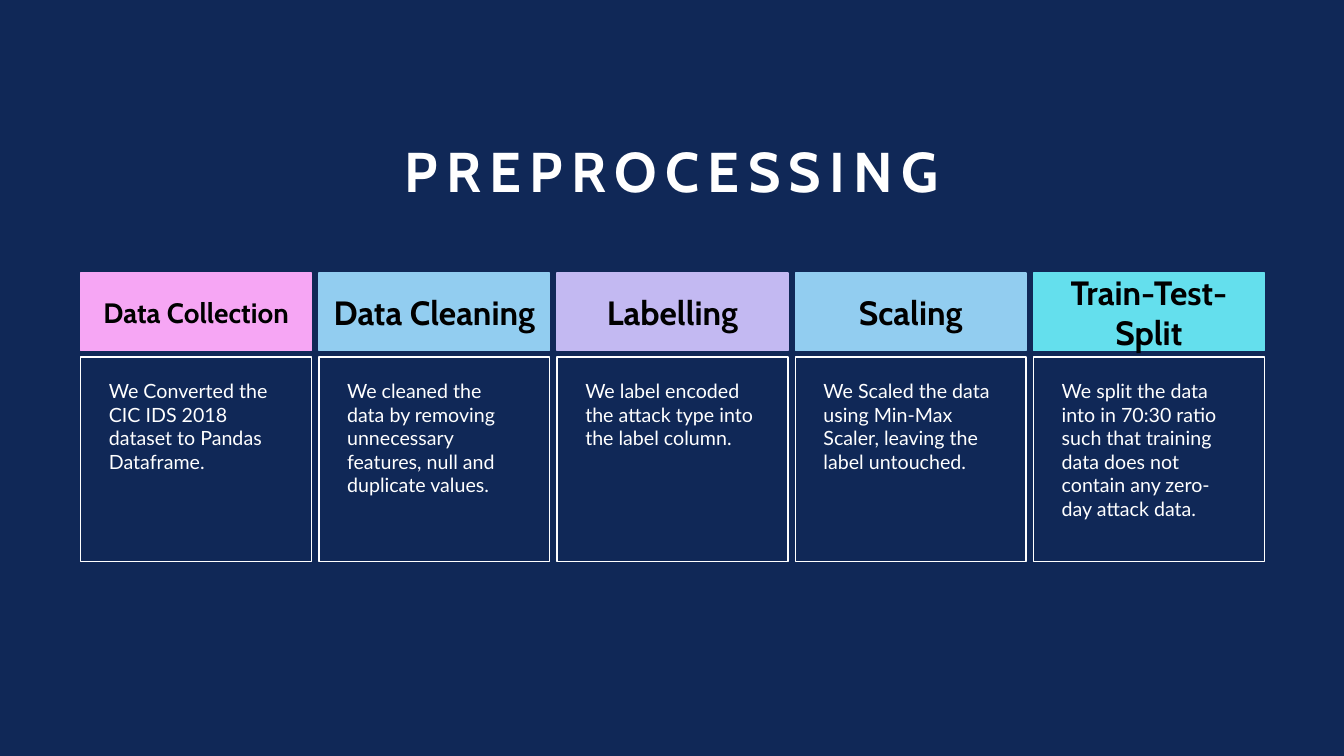
from pptx import Presentation
from pptx.dml.color import RGBColor
from pptx.enum.shapes import MSO_SHAPE
from pptx.enum.text import MSO_ANCHOR, MSO_AUTO_SIZE, PP_ALIGN
from pptx.util import Inches, Pt

RECTANGLE = MSO_SHAPE.RECTANGLE
TOP, MIDDLE, BOTTOM = MSO_ANCHOR.TOP, MSO_ANCHOR.MIDDLE, MSO_ANCHOR.BOTTOM
LEFT, CENTER = PP_ALIGN.LEFT, PP_ALIGN.CENTER

NAVY = RGBColor(0x10, 0x28, 0x57)
WHITE = RGBColor(0xFF, 0xFF, 0xFF)
BLACK = RGBColor(0x00, 0x00, 0x00)
PINK = RGBColor(0xF6, 0xA6, 0xF4)
SKY = RGBColor(0x92, 0xCD, 0xF0)
LILAC = RGBColor(0xC3, 0xB9, 0xF2)
AQUA = RGBColor(0x64, 0xDF, 0xED)

# Column grid, in inches
GRID_LEFT, COLUMN_PITCH, COLUMN_WIDTH = 0.8, 2.3625, 2.29
HEADER_TOP, HEADER_HEIGHT = 2.71, 0.77
DETAIL_TOP, DETAIL_HEIGHT = 3.54, 2.03

HEADER_FRAME = {"vertical_anchor": MIDDLE, "word_wrap": True}
DETAIL_FRAME = {"vertical_anchor": TOP, "word_wrap": True,
                "margin_left": Inches(0.28), "margin_top": Inches(0.22),
                "margin_right": Inches(0.3), "margin_bottom": Inches(0.05)}
TITLE_FRAME = {"vertical_anchor": BOTTOM, "word_wrap": True,
               "auto_size": MSO_AUTO_SIZE.NONE}

STEPS = [
    ("Data Collection", 20, PINK,
     "We Converted the CIC IDS 2018 dataset to Pandas Dataframe."),
    ("Data Cleaning", 24, SKY,
     "We cleaned the data by removing unnecessary features, null and duplicate values."),
    ("Labelling", 24, LILAC,
     "We label encoded the attack type into the label column."),
    ("Scaling", 24, SKY,
     "We Scaled the data using Min-Max Scaler, leaving the label untouched."),
    ("Train-Test-Split", 24, AQUA,
     "We split the data into in 70:30 ratio such that training data does not "
     "contain any zero-day attack data."),
]


def write(holder, wording, frame_format, align, color, font_format):
    """Put one formatted paragraph into a shape and return its run."""
    frame = holder.text_frame
    for key, value in frame_format.items():
        setattr(frame, key, value)
    paragraph = frame.paragraphs[0]
    paragraph.alignment = align
    run = paragraph.add_run()
    run.text = wording
    for key, value in font_format.items():
        setattr(run.font, key, value)
    run.font.color.rgb = color
    return run


def add_box(left, top, height, line_color):
    """Add an unfilled, outlined rectangle one column wide."""
    box = slide.shapes.add_shape(RECTANGLE, Inches(left), Inches(top),
                                 Inches(COLUMN_WIDTH), Inches(height))
    box.shadow.inherit = False
    box.fill.background()
    box.line.color.rgb = line_color
    box.line.width = Pt(1)
    return box


prs = Presentation()
prs.slide_width, prs.slide_height = Inches(13.33), Inches(7.5)
slide = prs.slides.add_slide(prs.slide_layouts[5])
slide.background.fill.solid()
slide.background.fill.fore_color.rgb = NAVY

# Title
title = slide.shapes.title
title.left, title.top = Inches(1.81), Inches(0.91)
title.width, title.height = Inches(9.71), Inches(1.17)
heading = write(title, "PREPROCESSING", TITLE_FRAME, CENTER, WHITE,
                {"name": "Cabin", "size": Pt(40), "bold": True})
title.text_frame.paragraphs[0].line_spacing = 0.9
heading.font._element.set("spc", "600")  # letter spacing of 6 pt

# One column per step: coloured header above an outlined description
for column, (step, size, color, description) in enumerate(STEPS):
    left = GRID_LEFT + column * COLUMN_PITCH
    header = add_box(left, HEADER_TOP, HEADER_HEIGHT, color)
    header.fill.solid()
    header.fill.fore_color.rgb = color
    write(header, step, HEADER_FRAME, CENTER, BLACK,
          {"name": "Cabin", "size": Pt(size), "bold": True})
    detail = add_box(left, DETAIL_TOP, DETAIL_HEIGHT, WHITE)
    write(detail, description, DETAIL_FRAME, LEFT, WHITE,
          {"name": "Lato", "size": Pt(14)})

prs.save("out.pptx")
